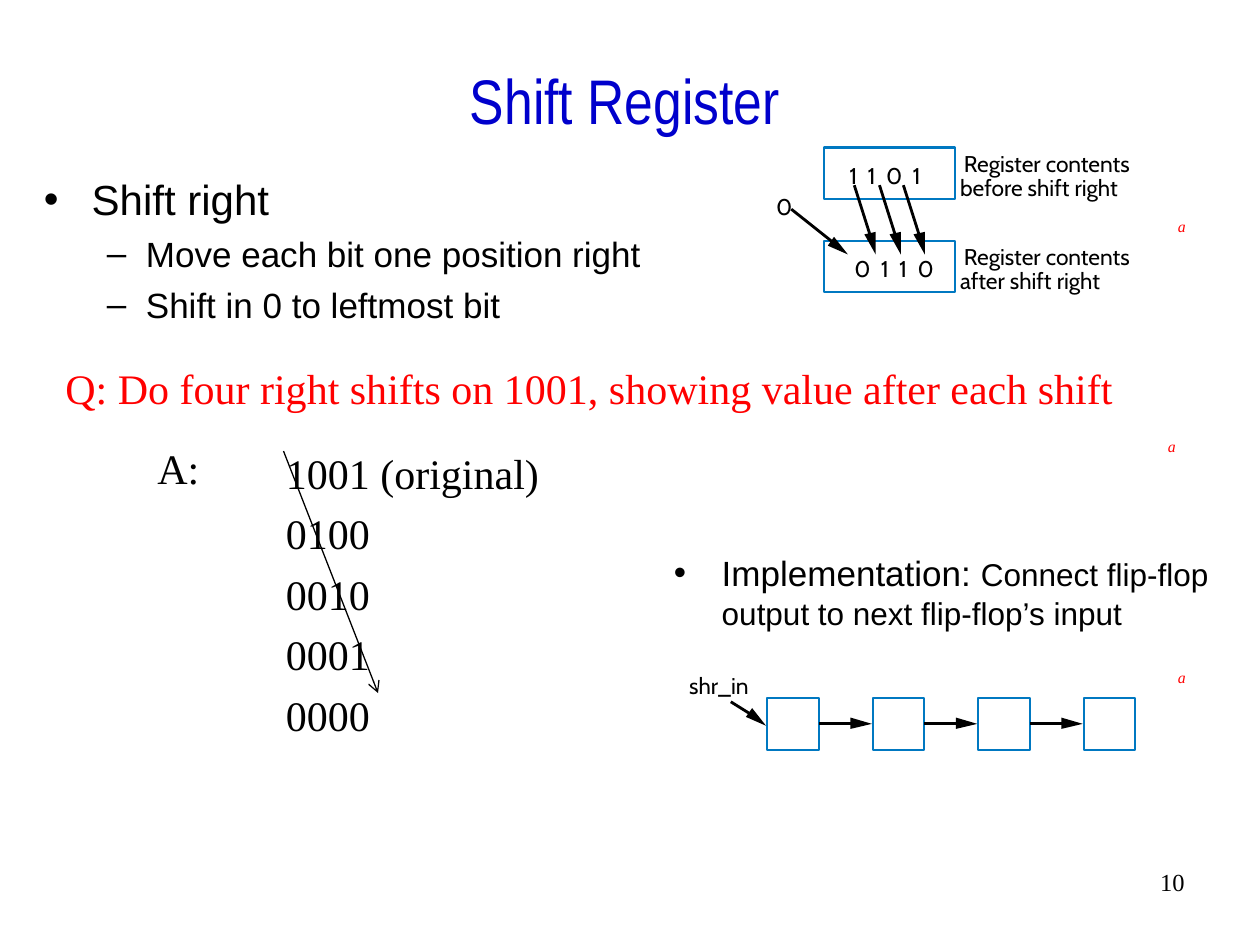
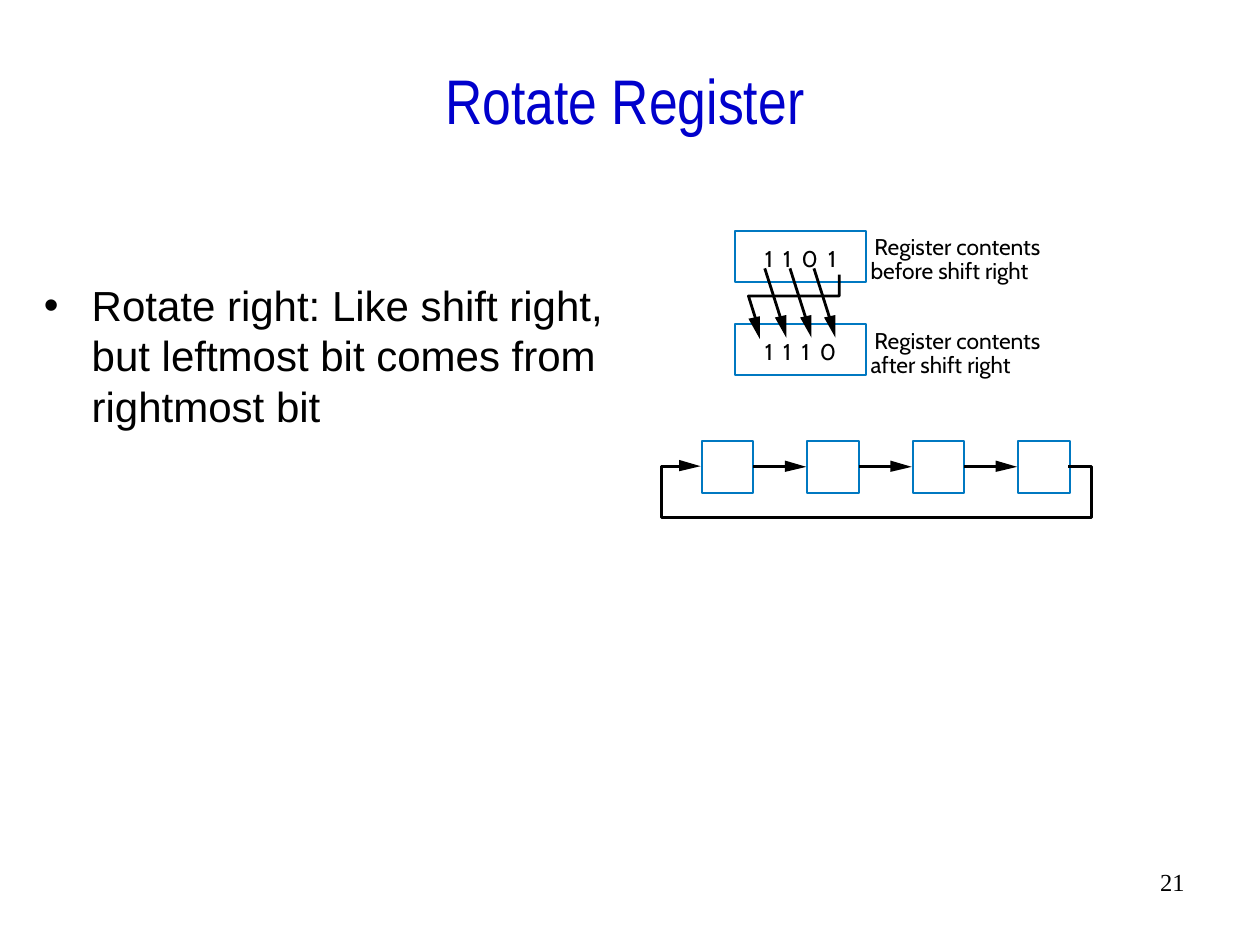
import pptx
import pptx.dml.color
import pptx.enum.shapes
import pptx.enum.text
import pptx.oxml
import pptx.oxml.ns
import pptx.util

Inches = pptx.util.Inches
Pt = pptx.util.Pt
RGBColor = pptx.dml.color.RGBColor
qn = pptx.oxml.ns.qn

BLACK = RGBColor(0x00, 0x00, 0x00)
WHITE = RGBColor(0xFF, 0xFF, 0xFF)
RED = RGBColor(0xFF, 0x00, 0x00)
TITLE_BLUE = RGBColor(0x00, 0x00, 0xCC)
BOX_BLUE = RGBColor(0x00, 0x78, 0xC1)

SERIF, SANS, TITLE_FONT, LABEL_FONT = "Times New Roman", "Arial", "Arial Narrow", "Cabin"
WIRE = 1.62

FLAT = ((-0.17, -0.05), (-0.17, 0.04))
STEEP = ((0, -0.18), (-0.09, -0.16))
DIAGONAL = ((-0.11, -0.14), (-0.16, -0.07))

BULLETS = (("•", 0.38, -0.38), ("–", 0.81, -0.31))
CELL, CELLS = 0.41, 4
PITCH = 2.51 / (CELLS - 1)


def add_xml(parent, tag, **attrs):
    el = pptx.oxml.parse_xml(
        f'<a:{tag} xmlns:a="http://schemas.openxmlformats.org/drawingml/2006/main"/>')
    for name, value in attrs.items():
        el.set(name, value)
    parent.append(el)
    return el


class Deck:
    def __init__(self):
        self.prs = pptx.Presentation()
        self.prs.slide_width = Inches(10)
        self.prs.slide_height = Inches(7.5)
        self.s = None
        self.box_line = 1.25

    def slide(self, title, number, box_line):
        self.s = self.prs.slides.add_slide(self.prs.slide_layouts[5])
        self.box_line = box_line
        sp = self.s.shapes.title
        sp.left, sp.top, sp.width, sp.height = map(Inches, (0.25, 0.33, 9.42, 0.92))
        tf = sp.text_frame
        tf.text = title
        tf.vertical_anchor = pptx.enum.text.MSO_ANCHOR.MIDDLE
        p = tf.paragraphs[0]
        p.alignment = pptx.enum.text.PP_ALIGN.CENTER
        self.font(p, 36, TITLE_FONT, TITLE_BLUE)
        p = self.text(7.42, 6.83, 2.08, 0.5, number, 14, wrap=True)
        p.alignment = pptx.enum.text.PP_ALIGN.RIGHT

    def font(self, p, size, name, color=BLACK):
        p.font.size = Pt(size)
        p.font.name = name
        p.font.color.rgb = color

    def text(self, x, y, w, h, words, size, name=SERIF, color=BLACK, wrap=False):
        tf = self.s.shapes.add_textbox(*map(Inches, (x, y, w, h))).text_frame
        tf.word_wrap = wrap
        if not wrap:
            tf.auto_size = pptx.enum.text.MSO_AUTO_SIZE.SHAPE_TO_FIT_TEXT
        if name == LABEL_FONT:
            tf.margin_left = tf.margin_right = tf.margin_top = tf.margin_bottom = 0
        p = tf.paragraphs[0]
        p.text = words
        self.font(p, size, name, color)
        return p

    def label(self, x, y, w, words):
        return self.text(x, y, w, 0.22, words, 13, LABEL_FONT)

    def bits(self, x, y, word):
        p = self.label(x, y, 0.69, " ".join(word))
        p.runs[0].font._element.set("spc", "150")

    def mark(self, x, y):
        self.text(x, y, 0.26, 0.25, "a", 9, color=RED).font.italic = True

    def bullets(self, x, y, w, h, items):
        tf = self.s.shapes.add_textbox(*map(Inches, (x, y, w, h))).text_frame
        tf.word_wrap = True
        for i, (level, size, before, words) in enumerate(items):
            p = tf.paragraphs[0] if i == 0 else tf.add_paragraph()
            p.text = words
            p.level = level
            p.space_before = Pt(before)
            char, margin, indent = BULLETS[level]
            pPr = p._p.get_or_add_pPr()
            pPr.set("marL", str(Inches(margin)))
            pPr.set("indent", str(Inches(indent)))
            add_xml(add_xml(pPr, "buClr"), "srgbClr", val=str(BLACK))
            add_xml(pPr, "buFont", typeface=SANS)
            add_xml(pPr, "buChar", char=char)
            self.font(p, size, SANS)
        return tf

    def box(self, x, y, w):
        rect = pptx.enum.shapes.MSO_SHAPE.RECTANGLE
        sp = self.s.shapes.add_shape(rect, *map(Inches, (x, y, w, CELL)))
        sp.shadow.inherit = False
        sp.fill.solid()
        sp.fill.fore_color.rgb = WHITE
        sp.line.color.rgb = BOX_BLUE
        sp.line.width = Pt(self.box_line)

    def line(self, x1, y1, x2, y2, width=WIRE, arrow=False):
        straight = pptx.enum.shapes.MSO_CONNECTOR.STRAIGHT
        cx = self.s.shapes.add_connector(straight, *map(Inches, (x1, y1, x2, y2)))
        cx.line.color.rgb = BLACK
        cx.line.width = Pt(width)
        spPr = cx._element.spPr
        if arrow:
            add_xml(spPr.find(qn("a:ln")), "tailEnd", type="arrow")
        add_xml(spPr, "effectLst")

    def outline(self, points, closed):
        start, *rest = [(Inches(x), Inches(y)) for x, y in points]
        fb = self.s.shapes.build_freeform(*start)
        fb.add_line_segments(rest, close=closed)
        sp = fb.convert_to_shape()
        sp.shadow.inherit = False
        return sp

    def head(self, x, y, corners):
        sp = self.outline([(x, y)] + [(x + dx, y + dy) for dx, dy in corners], True)
        sp.fill.solid()
        sp.fill.fore_color.rgb = BLACK
        sp.line.fill.background()

    def wire(self, points):
        sp = self.outline(points, False)
        sp.fill.background()
        sp.line.color.rgb = BLACK
        sp.line.width = Pt(WIRE)

    def registers(self, x, y, before, after, before_dx):
        rows = ((0, before_dx, before, "before shift right", 1.43),
                (0.74, 0.24, after, "after shift right", 1.28))
        for dy, bits_dx, word, caption, width in rows:
            self.box(x, y + dy, 1.04)
            self.bits(x + bits_dx, y + dy + 0.11, word)
            self.label(x + 1.11, y + dy + 0.02, 1.48, "Register contents")
            self.label(x + 1.08, y + dy + 0.21, width, caption)
        for dx in (0.24, 0.44, 0.63):
            self.line(x + dx, y + 0.3, x + dx + 0.13, y + 0.71)
            self.head(x + dx + 0.17, y + 0.85, STEEP)

    def flip_flops(self, x, y):
        mid = y + CELL / 2
        for i in range(CELLS):
            left = x + i * PITCH
            self.box(left, y, CELL)
            if i < CELLS - 1:
                self.line(left + CELL, mid, left + 0.67, mid)
                self.head(left + 0.83, mid, FLAT)


def shift_slide(d):
    d.slide("Shift Register", "10", 1.25)
    d.bullets(0.25, 1.33, 5, 1.42, [
        (0, 24, 6, "Shift right"),
        (1, 20, 5, "Move each bit one position right"),
        (1, 20, 5, "Shift in 0 to leftmost bit"),
    ])
    d.registers(6.54, 1.17, "1101", "0110", 0.2)
    d.label(6.16, 1.53, 0.1, "0")
    d.line(6.28, 1.66, 6.62, 1.93)
    d.head(6.73, 2.02, DIAGONAL)

    d.text(0.42, 2.83, 8.51, 0.5,
           "Q: Do four right shifts on 1001, showing value after each shift", 24, color=RED)
    d.text(1.15, 3.46, 0.61, 0.5, "A:", 24)
    for i, value in enumerate(("1001 (original)", "0100", "0010", "0001", "0000")):
        d.text(2.17, 3.5 + 0.48 * i, 0.95 if i else 2.21, 0.5, value, 24)
    d.line(2.25, 3.58, 3, 5.5, 0.75, arrow=True)

    tf = d.bullets(5.25, 4.33, 4.5, 0.75, [(0, 20, 4.5, "Implementation: ")])
    r = tf.paragraphs[0].add_run()
    r.text = "Connect flip-flop output to next flip-flop’s input"
    r.font.size = Pt(18)
    d.flip_flops(6.09, 5.54)
    d.label(5.47, 5.33, 0.51, "shr_in")
    d.line(5.8, 5.57, 5.96, 5.67)
    d.head(6.08, 5.76, DIAGONAL)
    for x, y in ((9.25, 1.67), (9.17, 3.42), (9.25, 5.25)):
        d.mark(x, y)


def rotate_slide(d):
    d.slide("Rotate Register", "21", 1.13)
    d.bullets(0.25, 2.17, 4.83, 4.5, [
        (0, 24, 6, "Rotate right: Like shift right, but leftmost bit comes from rightmost bit"),
    ])
    d.flip_flops(5.57, 3.5)
    d.wire([(8.48, 3.7), (8.66, 3.7), (8.66, 4.11), (5.25, 4.11), (5.25, 3.7), (5.41, 3.7)])
    d.head(5.56, 3.7, FLAT)
    d.registers(5.83, 1.83, "1101", "1110", 0.24)
    d.wire([(6, 2.54), (5.94, 2.35), (6.66, 2.35), (6.66, 2.18)])
    d.head(6.03, 2.69, STEEP)


def main():
    d = Deck()
    shift_slide(d)
    rotate_slide(d)
    d.prs.save("out.pptx")


if __name__ == "__main__":
    main()
